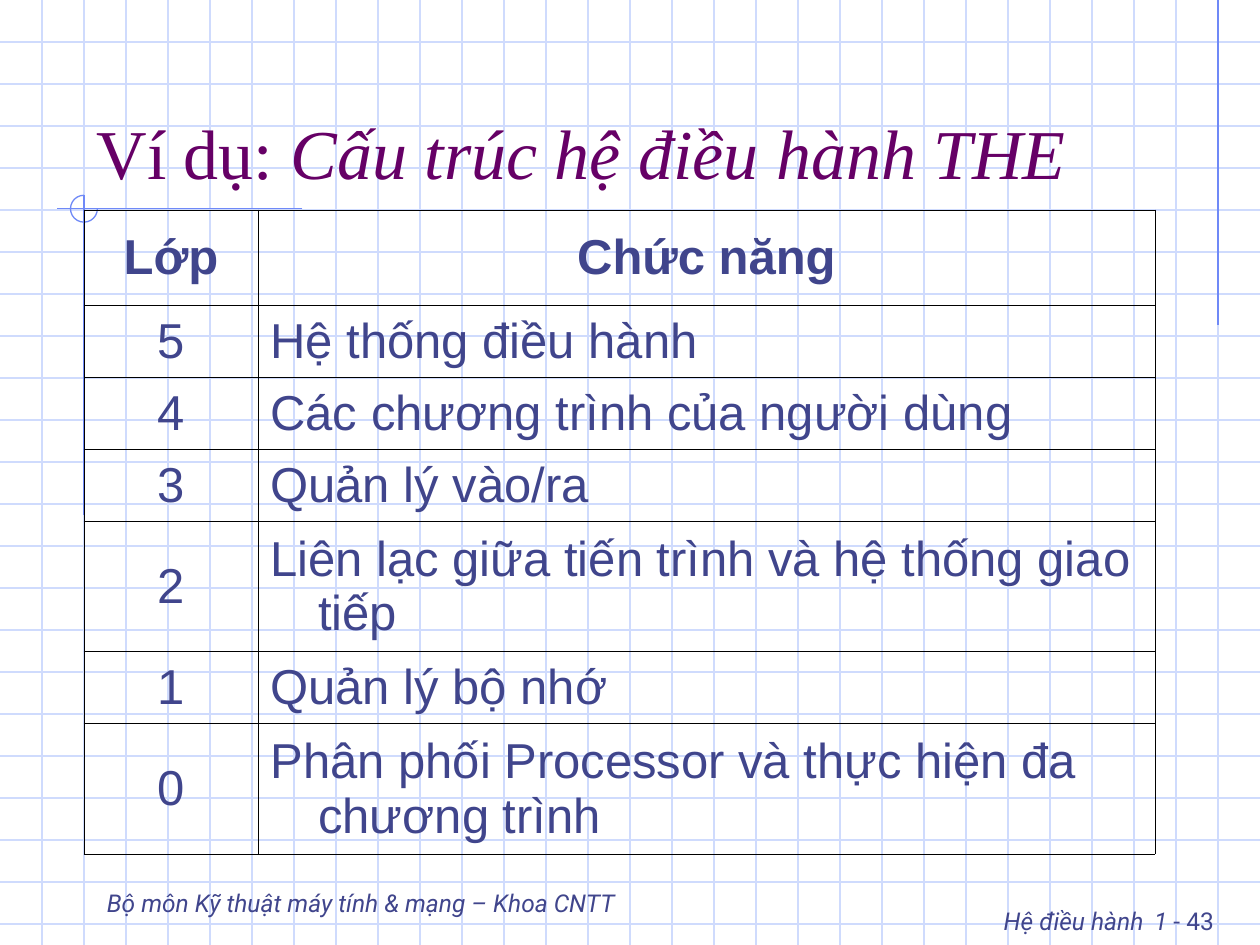
from dataclasses import dataclass

from lxml.etree import SubElement
from pptx import Presentation
from pptx.dml.color import RGBColor
from pptx.enum.shapes import MSO_CONNECTOR, MSO_SHAPE
from pptx.enum.text import MSO_ANCHOR as Anchor, PP_ALIGN as Align
from pptx.oxml import parse_xml
from pptx.oxml.ns import nsdecls, qn
from pptx.util import Inches, Pt

GRID_BLUE = RGBColor(0xCF, 0xDB, 0xFD)
ACCENT_BLUE = RGBColor(0x6F, 0x89, 0xF7)
INK = RGBColor(0x40, 0x45, 0x8C)
PLUM = RGBColor(0x66, 0x00, 0x66)
BORDER_BLACK = "000000"

# The page is ruled in squares, 30 across and 22.5 down
COLUMNS, ROWS = 30, 22.5
SQUARE = Inches(10) / COLUMNS


@dataclass(frozen=True)
class Line:
    """A straight line, in grid squares."""
    x1: float
    y1: float
    x2: float
    y2: float
    color: RGBColor = ACCENT_BLUE


@dataclass(frozen=True)
class Span:
    text: str
    size: float
    font: str
    color: RGBColor = INK
    bold: bool = False
    italic: bool = False


@dataclass(frozen=True)
class Layer:
    number: str
    role: str
    height: float  # grid squares


ACCENTS = [
    Line(29, 0, 29, 7.74),
    Line(7.2, 4.97, 1.35, 4.97),
    Line(2, 4.65, 2, 12.27),
]
TITLE = [
    Span("Ví dụ: ", 40, "Times New Roman", PLUM),
    Span("Cấu trúc hệ điều hành THE", 40, "Times New Roman", PLUM, italic=True),
]
PAGE_NUMBER = [
    Span("Hệ điều hành", 14, "Roboto", italic=True),
    Span(" ", 24, "Roboto"),
    Span("1", 14, "Roboto", italic=True),
    Span(" - 43", 14, "Roboto"),
]
DEPARTMENT = [
    Span("Bộ môn Kỹ thuật máy tính & mạng – Khoa CNTT", 14, "Roboto", italic=True),
]
ONE_LINE, TWO_LINES = 1.71, 3.11
LAYERS = [
    Layer("Lớp", "Chức năng", 2.28),
    Layer("5", "Hệ thống điều hành", ONE_LINE),
    Layer("4", "Các chương trình của người dùng", ONE_LINE),
    Layer("3", "Quản lý vào/ra", ONE_LINE),
    Layer("2", "Liên lạc giữa tiến trình và hệ thống giao tiếp", TWO_LINES),
    Layer("1", "Quản lý bộ nhớ", ONE_LINE),
    Layer("0", "Phân phối Processor và thực hiện đa chương trình", TWO_LINES),
]
TABLE_COLUMNS = (4.14, 21.36)


def squares(count: float) -> int:
    return round(count * SQUARE)


def draw_line(page, line: Line) -> None:
    ends = (squares(value) for value in (line.x1, line.y1, line.x2, line.y2))
    connector = page.shapes.add_connector(MSO_CONNECTOR.STRAIGHT, *ends)
    connector.line.color.rgb = line.color
    connector.line.width = Pt(0.75)
    SubElement(connector.element.spPr, qn("a:effectLst"))


def draw_background(page) -> None:
    for row in range(1, int(ROWS) + 1):
        draw_line(page, Line(0, row, COLUMNS, row, GRID_BLUE))
    for column in range(1, COLUMNS):
        draw_line(page, Line(column, 0, column, ROWS, GRID_BLUE))
    for line in ACCENTS:
        draw_line(page, line)

    # Three-quarter circle where the accent lines cross
    arc = page.shapes.add_shape(
        MSO_SHAPE.ARC, squares(1.68), squares(4.65), squares(0.64), squares(0.64))
    arc.adjustments[0] = 0
    arc.adjustments[1] = 162  # 270 degrees
    arc.shadow.inherit = False
    arc.fill.background()
    arc.line.color.rgb = ACCENT_BLUE
    arc.line.width = Pt(0.75)


def write(para, spans: list[Span], align: Align = Align.LEFT) -> None:
    para.alignment = align
    for span in spans:
        run = para.add_run()
        run.text = span.text
        font = run.font
        font.name, font.size = span.font, Pt(span.size)
        font.bold, font.italic = span.bold, span.italic
        font.color.rgb = span.color


def draw_label(page, left: float, top: float, width: float, spans: list[Span],
               align: Align, anchor: Anchor) -> None:
    box = page.shapes.add_textbox(
        squares(left), squares(top), squares(width), squares(1.5))
    box.text_frame.word_wrap = True
    box.text_frame.vertical_anchor = anchor
    write(box.text_frame.paragraphs[0], spans, align)


def draw_title(page) -> None:
    title = page.shapes.title
    title.left, title.top = squares(2), squares(1)
    title.width, title.height = squares(25.5), squares(3.75)
    title.text_frame.vertical_anchor = Anchor.BOTTOM
    write(title.text_frame.paragraphs[0], TITLE)
    # Bring the title in front of the ruled background
    title.element.getparent().append(title.element)


def format_cell(cell, text: str, align: Align, bold: bool) -> None:
    cell.vertical_anchor = Anchor.MIDDLE
    cell.margin_left = cell.margin_right = Inches(0.1)
    cell.margin_top = cell.margin_bottom = Inches(0.05)
    cell.fill.background()
    para = cell.text_frame.paragraphs[0]
    para.space_before = Pt(7)
    write(para, [Span(text, 28, "Arial", bold=bold)], align)

    # Hanging indent and thin borders
    indent = Inches(0.38)
    properties = para._p.get_or_add_pPr()
    properties.set("marL", str(indent))
    properties.set("indent", str(-indent))
    cell_properties = cell._tc.get_or_add_tcPr()
    for index, side in enumerate("LRTB"):
        cell_properties.insert(index, parse_xml(
            f'<a:ln{side} {nsdecls("a")} w="{Pt(0.34)}"><a:solidFill>'
            f'<a:srgbClr val="{BORDER_BLACK}"/></a:solidFill></a:ln{side}>'))


def draw_table(page) -> None:
    height = sum(layer.height for layer in LAYERS)
    table = page.shapes.add_table(
        len(LAYERS), len(TABLE_COLUMNS), squares(2), squares(5),
        squares(sum(TABLE_COLUMNS)), squares(height)).table
    table.horz_banding = table.first_row = False
    for column, width in zip(table.columns, TABLE_COLUMNS):
        column.width = squares(width)
    for index, layer in enumerate(LAYERS):
        table.rows[index].height = squares(layer.height)
        header = index == 0
        role_align = Align.CENTER if header else Align.LEFT
        format_cell(table.cell(index, 0), layer.number, Align.CENTER, header)
        format_cell(table.cell(index, 1), layer.role, role_align, header)


def main() -> None:
    deck = Presentation()
    deck.slide_width, deck.slide_height = squares(COLUMNS), squares(ROWS)
    page = deck.slides.add_slide(deck.slide_layouts[5])  # title only
    draw_background(page)
    draw_label(page, 20.5, 21, 8.7, PAGE_NUMBER, Align.RIGHT, Anchor.TOP)
    draw_label(page, 2.25, 20.5, 16.75, DEPARTMENT, Align.LEFT, Anchor.BOTTOM)
    draw_title(page)
    draw_table(page)
    deck.save("out.pptx")


if __name__ == "__main__":
    main()
